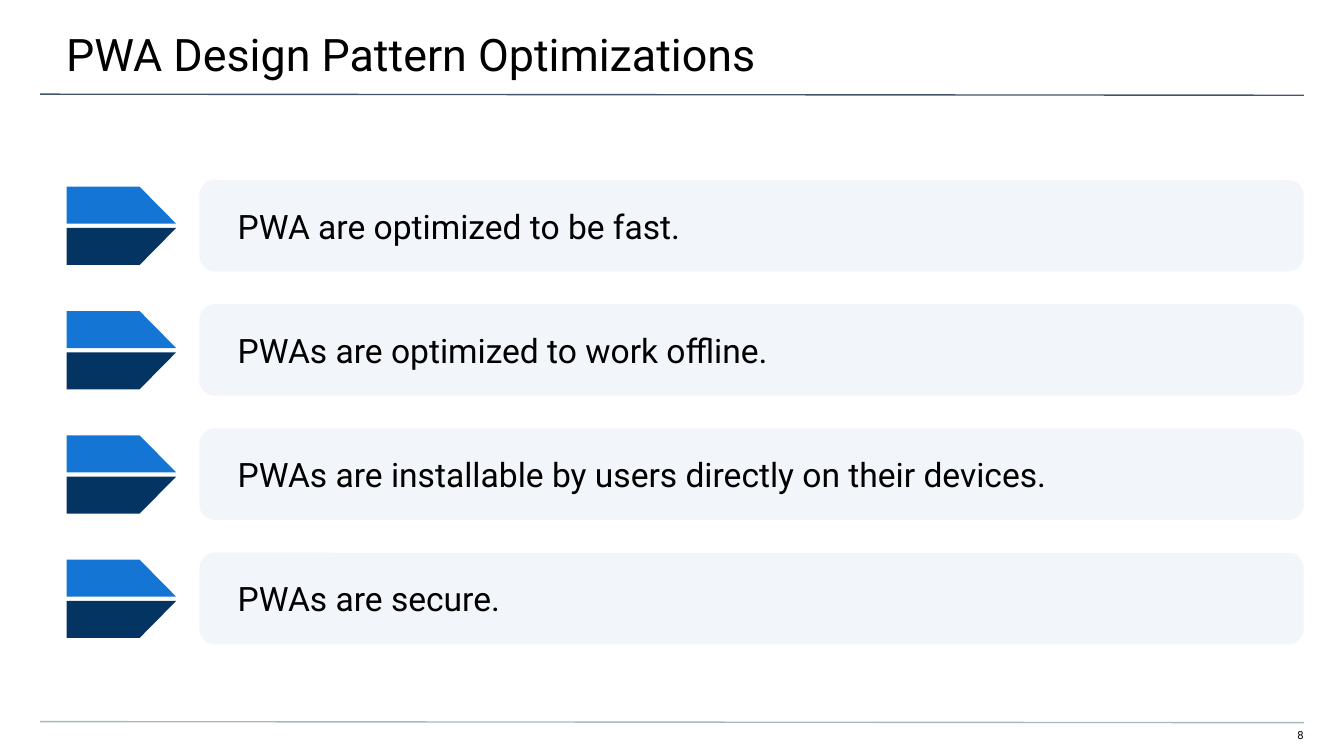
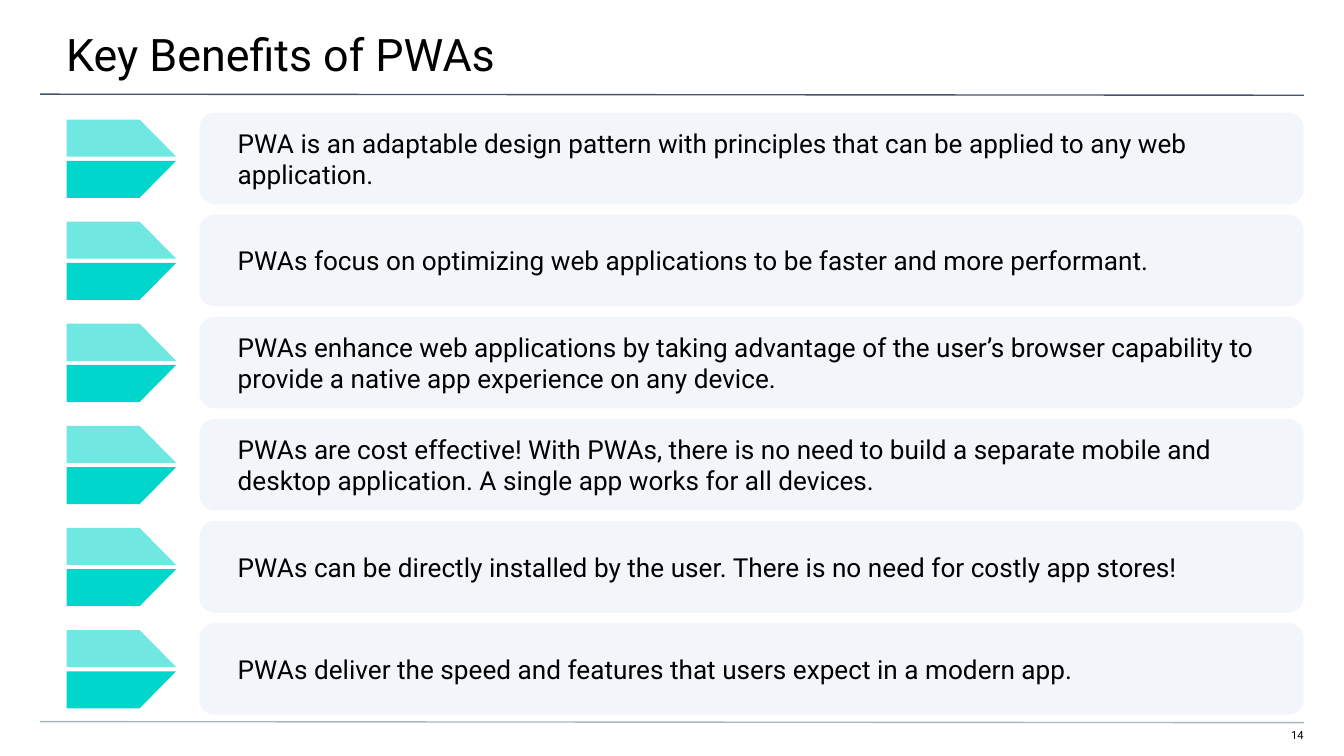
from lxml.etree import SubElement
from pptx import Presentation
from pptx.dml.color import RGBColor
from pptx.enum.shapes import MSO_CONNECTOR as Connector, MSO_SHAPE as Shape
from pptx.enum.text import MSO_ANCHOR as Anchor, PP_ALIGN as Align
from pptx.oxml.ns import qn
from pptx.util import Cm, Pt

FONT = "Roboto"
BLACK = "000000"
TITLE_RULE = "44546A"
FOOTER_RULE = "A9B7C0"
CARD = "F2F5F9"
BLUE, NAVY, TURQUOISE = "1475D4", "043461", "00D6CB"

CARD_LEFT, CARD_WIDTH, CARD_HEIGHT = 3.77, 20.87, 1.73
MARKER_LEFT, MARKER_WIDTH, MARKER_SHOULDER = 1.26, 2.07, 1.38
MARKER_HALF, MARKER_HEIGHT, MARKER_OFFSET = 0.7, 1.48, 0.13

OPTIMIZATIONS = [
    "PWA are optimized to be fast.",
    "PWAs are optimized to work offline.",
    "PWAs are installable by users directly on their devices.",
    "PWAs are secure.",
]
BENEFITS = [
    "PWA is an adaptable design pattern with principles that can be applied to any web application.",
    "PWAs focus on optimizing web applications to be faster and more performant.",
    "PWAs enhance web applications by taking advantage of the user’s browser capability "
    "to provide a native app experience on any device.",
    "PWAs are cost effective! With PWAs, there is no need to build a separate mobile "
    "and desktop application. A single app works for all devices.",
    "PWAs can be directly installed by the user. There is no need for costly app stores!",
    "PWAs deliver the speed and features that users expect in a modern app.",
]


def color(value):
    return RGBColor.from_string(value)


def paint(shape, fill, opacity=100):
    shape.shadow.inherit = False
    shape.line.fill.background()
    shape.fill.solid()
    shape.fill.fore_color.rgb = color(fill)
    if opacity < 100:
        fill_color = shape.element.spPr.find(qn("a:solidFill")).find(qn("a:srgbClr"))
        SubElement(fill_color, qn("a:alpha")).set("val", str(opacity * 1000))


def write(shape, text, size, margins, align=Align.LEFT, anchor=Anchor.TOP):
    frame = shape.text_frame
    frame.word_wrap = True
    frame.vertical_anchor = anchor
    (frame.margin_left, frame.margin_top,
     frame.margin_right, frame.margin_bottom) = map(Cm, margins)
    frame.text = text
    paragraph = frame.paragraphs[0]
    paragraph.alignment = align
    for run in paragraph.runs:
        run.font.name = FONT
        run.font.size = Pt(size)
        run.font.color.rgb = color(BLACK)


def add_text(slide, box, text, size, margins, align=Align.LEFT):
    write(slide.shapes.add_textbox(*map(Cm, box)), text, size, margins, align)


def add_rule(slide, top, line_color):
    rule = slide.shapes.add_connector(
        Connector.STRAIGHT, Cm(0.76), Cm(top), Cm(24.64), Cm(top + 0.02))
    rule.line.color.rgb = color(line_color)
    rule.line.width = Pt(0.75)
    SubElement(rule.element.spPr, qn("a:effectLst"))


def add_card(slide, top, text, size):
    card = slide.shapes.add_shape(
        Shape.ROUNDED_RECTANGLE, Cm(CARD_LEFT), Cm(top), Cm(CARD_WIDTH), Cm(CARD_HEIGHT))
    card.adjustments[0] = 0.167
    paint(card, CARD)
    write(card, text, size, (0.64, 0.25, 0.25, 0.25), anchor=Anchor.MIDDLE)


def add_marker_half(slide, outer, inner, fill, opacity=100):
    left = Cm(MARKER_LEFT)
    builder = slide.shapes.build_freeform(left, Cm(outer))
    builder.add_line_segments([
        (left, Cm(inner)),
        (Cm(MARKER_LEFT + MARKER_WIDTH), Cm(inner)),
        (Cm(MARKER_LEFT + MARKER_SHOULDER), Cm(outer)),
    ])
    paint(builder.convert_to_shape(), fill, opacity)


def add_marker(slide, top, upper, lower, opacity):
    bottom = top + MARKER_HEIGHT
    add_marker_half(slide, top, top + MARKER_HALF, upper, opacity)
    add_marker_half(slide, bottom, bottom - MARKER_HALF, lower)


def add_rows(slide, texts, top, pitch, size, upper, lower, opacity=100):
    for index, text in enumerate(texts):
        row_top = top + index * pitch
        add_card(slide, row_top, text, size)
        add_marker(slide, row_top + MARKER_OFFSET, upper, lower, opacity)


def add_base_slide(presentation, title, number):
    slide = presentation.slides.add_slide(presentation.slide_layouts[6])
    add_text(slide, (23.9, 13.77, 0.74, 0.3), number, 6, (0, 0, 0, 0.25), Align.RIGHT)
    add_rule(slide, 1.78, TITLE_RULE)
    add_rule(slide, 13.64, FOOTER_RULE)
    add_text(slide, (-0.02, 0, 25.47, 1.47), title, 24, (1.27, 0.51, 0.76, 0.25))
    return slide


def main():
    presentation = Presentation()
    presentation.slide_width = Cm(25.4)
    presentation.slide_height = Cm(14.29)

    slide = add_base_slide(presentation, "PWA Design Pattern Optimizations", "8")
    add_rows(slide, OPTIMIZATIONS, 3.4, 2.35, 18, BLUE, NAVY)

    slide = add_base_slide(presentation, "Key Benefits of PWAs", "14")
    add_rows(slide, BENEFITS, 2.13, 1.93, 14, TURQUOISE, TURQUOISE, opacity=56)

    presentation.save("out.pptx")


if __name__ == "__main__":
    main()
